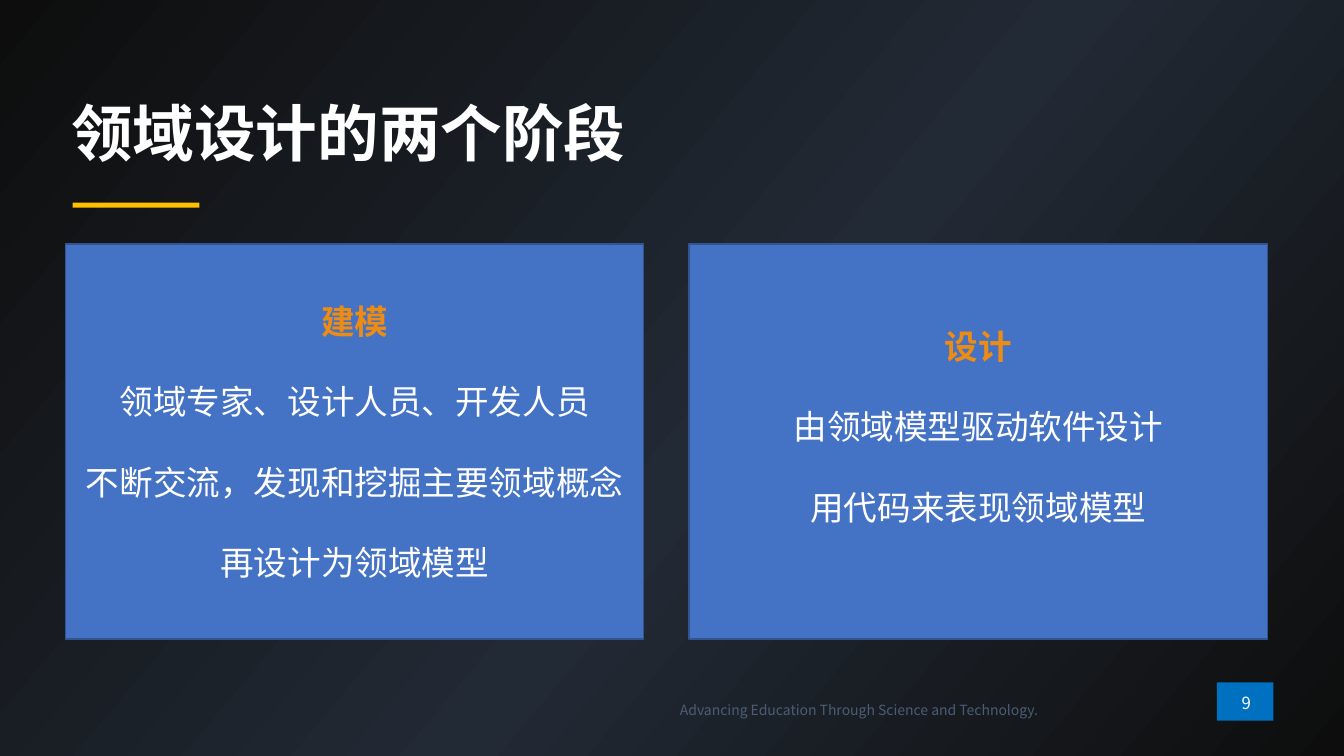
import pptx
import pptx.util
import pptx.dml.color
import pptx.enum.shapes
import pptx.enum.text
import pptx.oxml.ns
from lxml import etree

Pt = pptx.util.Pt
ALIGN = pptx.enum.text.PP_ALIGN
ANCHOR = pptx.enum.text.MSO_ANCHOR

TITLE = "领域设计的两个阶段"
STAGES = [
    ("建模", ["领域专家、设计人员、开发人员", "不断交流，发现和挖掘主要领域概念", "再设计为领域模型"], 3.6),
    ("设计", ["由领域模型驱动软件设计", "用代码来表现领域模型"], 25),
]
FOOTER = "Advancing Education Through Science and Technology."
PAGE = "9"

COLORS = {
    "white": "FFFFFF", "panel": "4472C4", "outline": "325491", "heading": "ED8C14",
    "accent": "FFC000", "badge": "0070C0", "footer": "4B5D75",
}
BACKGROUND_STOPS = [(0, "0D0D0D"), (55, "222A35"), (100, "0D0D0D")]
CJK_FONT = "Noto Sans CJK SC"
PANEL_FONT = "Calibri"
PANEL_LEFT, PANEL_TOP, PANEL_WIDTH, PANEL_HEIGHT = 46.8, 174.24, 413.28, 282.24
PANEL_PITCH = 445.68
LINE_HEIGHT = 28.8


def color(name):
    return pptx.dml.color.RGBColor.from_string(COLORS[name])


def paint_background(slide):
    fill = slide.background.fill
    fill.gradient()
    fill.gradient_angle = 320
    qn = pptx.oxml.ns.qn
    stop_list = next(slide.element.iter(qn("a:gsLst")))
    for stop in list(stop_list):
        stop_list.remove(stop)
    for position, value in BACKGROUND_STOPS:
        stop = etree.SubElement(stop_list, qn("a:gs"), pos=str(position * 1000))
        etree.SubElement(stop, qn("a:srgbClr"), val=value)


def style_font(font, name, size, color_name, bold=False):
    font.name = name
    font.size = Pt(size)
    font.bold = bold
    font.color.rgb = color(color_name)


def add_rectangle(slide, left, top, width, height, fill_name):
    shape = slide.shapes.add_shape(
        pptx.enum.shapes.MSO_SHAPE.RECTANGLE, Pt(left), Pt(top), Pt(width), Pt(height))
    shape.shadow.inherit = False
    shape.fill.solid()
    shape.fill.fore_color.rgb = color(fill_name)
    shape.line.fill.background()
    return shape


def add_label(slide, box, text, size, color_name, align, anchor, bold=False):
    shape = slide.shapes.add_textbox(*[Pt(length) for length in box])
    text_frame = shape.text_frame
    text_frame.word_wrap = True
    text_frame.vertical_anchor = anchor
    text_frame.text = text
    paragraph = text_frame.paragraphs[0]
    paragraph.alignment = align
    style_font(paragraph.runs[0].font, CJK_FONT, size, color_name, bold)
    return paragraph


def add_panel(slide, left, heading, lines, bottom_margin):
    shape = add_rectangle(slide, left, PANEL_TOP, PANEL_WIDTH, PANEL_HEIGHT, "panel")
    shape.line.color.rgb = color("outline")
    shape.line.width = Pt(1)
    text_frame = shape.text_frame
    text_frame.word_wrap = True
    text_frame.vertical_anchor = ANCHOR.MIDDLE
    text_frame.margin_bottom = Pt(bottom_margin)
    text_frame.text = "\n".join([heading] + lines)
    for index, paragraph in enumerate(text_frame.paragraphs):
        paragraph.alignment = ALIGN.CENTER
        paragraph.line_spacing = Pt(LINE_HEIGHT)
        if index:
            paragraph.space_before = Pt(LINE_HEIGHT)
        color_name = "white" if index else "heading"
        style_font(paragraph.runs[0].font, PANEL_FONT, 24, color_name, index == 0)


def main():
    presentation = pptx.Presentation()
    presentation.slide_width = Pt(960.48)
    presentation.slide_height = Pt(540)
    slide = presentation.slides.add_slide(presentation.slide_layouts[6])
    paint_background(slide)

    add_rectangle(slide, 869.76, 487.44, 40.32, 27.36, "badge")
    add_label(slide, (331.92, 497.52, 416.88, 19.44), FOOTER, 10, "footer", ALIGN.RIGHT, ANCHOR.TOP)
    title = add_label(slide, (43.92, 66.24, 861.84, 61.92), TITLE, 44, "white",
                      ALIGN.LEFT, ANCHOR.MIDDLE, True)
    title.line_spacing = 0.9
    add_label(slide, (868.32, 486.72, 44.64, 30.96), PAGE, 12, "white", ALIGN.CENTER, ANCHOR.MIDDLE)
    add_rectangle(slide, 51.84, 144.72, 90.72, 3.6, "accent")

    for index, (heading, lines, bottom_margin) in enumerate(STAGES):
        add_panel(slide, PANEL_LEFT + index * PANEL_PITCH, heading, lines, bottom_margin)

    presentation.save("out.pptx")


if __name__ == "__main__":
    main()
